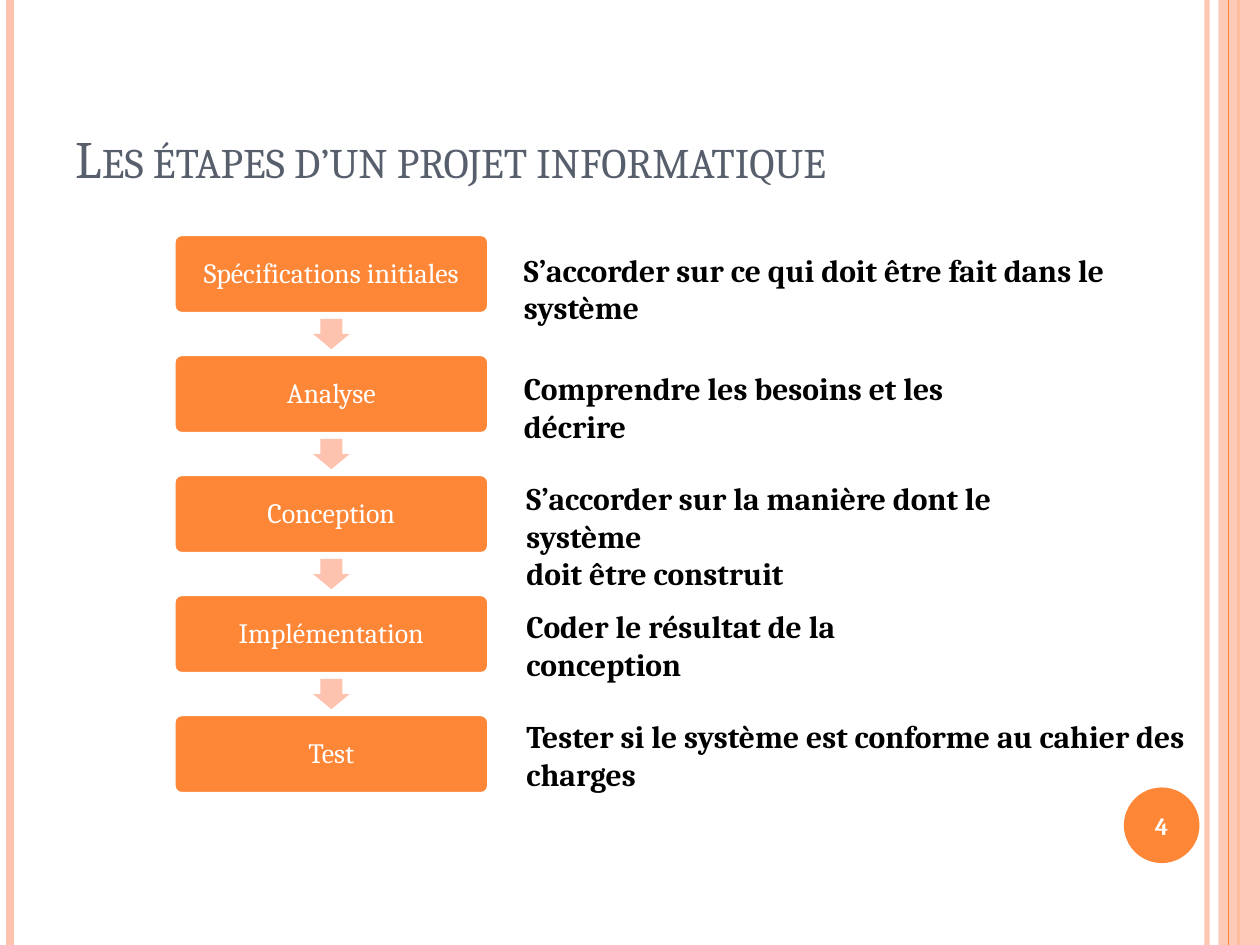
import pptx
import pptx.dml.color
import pptx.enum.shapes
import pptx.enum.text
import pptx.oxml.ns
import pptx.util
from lxml import etree

Inches = pptx.util.Inches
Pt = pptx.util.Pt
SHAPE = pptx.enum.shapes.MSO_SHAPE
ANCHOR = pptx.enum.text.MSO_ANCHOR
ALIGN = pptx.enum.text.PP_ALIGN
qn = pptx.oxml.ns.qn

ORANGE = "FE8637"
PEACH = "FEC3AE"
WHITE = "FFFFFF"
SLATE = "575F6D"
BLACK = "000000"

STEPS = [
    ("Spécifications initiales", ["S’accorder sur ce qui doit être fait dans le système"], (4.06, 1.94, 5.41, 0.4)),
    ("Analyse", ["Comprendre les besoins et les décrire"], (4.06, 2.88, 4.1, 0.4)),
    ("Conception", ["S’accorder sur la manière dont le système", "doit être construit"], (4.08, 3.75, 4.53, 0.71)),
    ("Implémentation", ["Coder le résultat de la conception"], (4.08, 4.77, 3.71, 0.4)),
    ("Test", ["Tester si le système est conforme au cahier des charges"], (4.08, 5.64, 5.8, 0.71)),
]
STEP_LEFT, STEP_TOP, STEP_WIDTH, STEP_HEIGHT = 1.38, 1.86, 2.5, 0.63
STEP_PITCH = (5.67 - STEP_TOP) / (len(STEPS) - 1)
ARROW_WIDTH, ARROW_HEIGHT = 0.29, 0.24


def color(value):
    return pptx.dml.color.RGBColor.from_string(value)


def apply(target, values):
    for name, value in values.items():
        setattr(target, name, value)


def set_alpha(properties, percent):
    element = properties.find(".//" + qn("a:srgbClr"))
    etree.SubElement(element, qn("a:alpha")).set("val", str(percent * 1000))


class SlideBuilder:
    font = "Cambria"

    def __init__(self, slide):
        self.slide = slide

    def add_text(self, frame, lines, size, fill, bold=False, frame_format=None, para_format=None):
        apply(frame, {"word_wrap": True, **(frame_format or {})})
        for index, line in enumerate(lines):
            para = frame.add_paragraph() if index else frame.paragraphs[0]
            apply(para, para_format or {})
            span = para.add_run()
            span.text = line
            apply(span.font, {"name": self.font, "size": Pt(size), "bold": bold})
            span.font.color.rgb = color(fill)

    def title(self, text, area):
        box = self.slide.shapes.title
        apply(box, dict(zip(("left", "top", "width", "height"), map(Inches, area))))
        self.add_text(box.text_frame, [text], 30, SLATE,
                      frame_format={"vertical_anchor": ANCHOR.BOTTOM,
                                    "auto_size": pptx.enum.text.MSO_AUTO_SIZE.NONE},
                      para_format={"alignment": ALIGN.LEFT})
        box.text_frame.paragraphs[0].runs[0].font._element.set("cap", "small")

    def rule(self, x, width, line_color, alpha=None):
        line = self.slide.shapes.add_connector(
            pptx.enum.shapes.MSO_CONNECTOR.STRAIGHT, Inches(x), Inches(0), Inches(x), Inches(7.5))
        line.line.width = Pt(width)
        line.line.color.rgb = color(line_color)
        properties = line._element.spPr
        if alpha:
            set_alpha(properties, alpha)
        etree.SubElement(properties, qn("a:effectLst"))

    def shape(self, kind, area, fill, outline=None, alpha=None, adjustments=()):
        shape = self.slide.shapes.add_shape(kind, *map(Inches, area))
        shape.shadow.inherit = False
        shape.fill.solid()
        shape.fill.fore_color.rgb = color(fill)
        if alpha:
            set_alpha(shape._element.spPr, alpha)
        if outline:
            shape.line.color.rgb = color(outline)
            shape.line.width = Pt(2)
        else:
            shape.line.fill.background()
        for index, value in enumerate(adjustments):
            shape.adjustments[index] = value
        return shape

    def step(self, text, top):
        box = self.shape(SHAPE.ROUNDED_RECTANGLE, (STEP_LEFT, top, STEP_WIDTH, STEP_HEIGHT),
                         ORANGE, outline=WHITE, adjustments=[0.1])
        margins = dict.fromkeys(("margin_left", "margin_top", "margin_right", "margin_bottom"), Inches(0.07))
        self.add_text(box.text_frame, [text], 16, WHITE,
                      frame_format={"vertical_anchor": ANCHOR.MIDDLE, **margins},
                      para_format={"alignment": ALIGN.CENTER, "line_spacing": 0.9})

    def arrow(self, top):
        left = STEP_LEFT + (STEP_WIDTH - ARROW_WIDTH) / 2
        self.shape(SHAPE.DOWN_ARROW, (left, top, ARROW_WIDTH, ARROW_HEIGHT), PEACH, adjustments=[0.6, 0.5])

    def note(self, lines, area):
        box = self.slide.shapes.add_textbox(*map(Inches, area))
        self.add_text(box.text_frame, lines, 18, BLACK, bold=True)

    def page_number(self, text, area):
        badge = self.shape(SHAPE.OVAL, area, ORANGE)
        self.add_text(badge.text_frame, [text], 14, WHITE, bold=True,
                      frame_format={"vertical_anchor": ANCHOR.MIDDLE},
                      para_format={"alignment": ALIGN.CENTER})


def main():
    deck = pptx.Presentation()
    apply(deck, {"slide_width": Inches(10), "slide_height": Inches(7.5)})
    page = SlideBuilder(deck.slides.add_slide(deck.slide_layouts[5]))

    page.rule(9.58, 3, PEACH, alpha=93)
    page.rule(0.08, 4.5, PEACH)
    page.rule(9.83, 1.5, ORANGE)
    page.shape(SHAPE.RECTANGLE, (9.67, 0, 0.33, 7.5), PEACH, alpha=87)
    page.rule(9.75, 0.75, ORANGE)
    page.page_number("4", (8.92, 6.25, 0.6, 0.6))
    page.title("Les étapes d’un projet informatique", (0.5, 0.3, 8.17, 1.25))

    gap = STEP_PITCH - STEP_HEIGHT
    for index, (name, lines, area) in enumerate(STEPS):
        top = STEP_TOP + index * STEP_PITCH
        if index:
            page.arrow(top - (gap + ARROW_HEIGHT) / 2)
        page.step(name, top)
        page.note(lines, area)

    deck.save("out.pptx")


if __name__ == "__main__":
    main()
